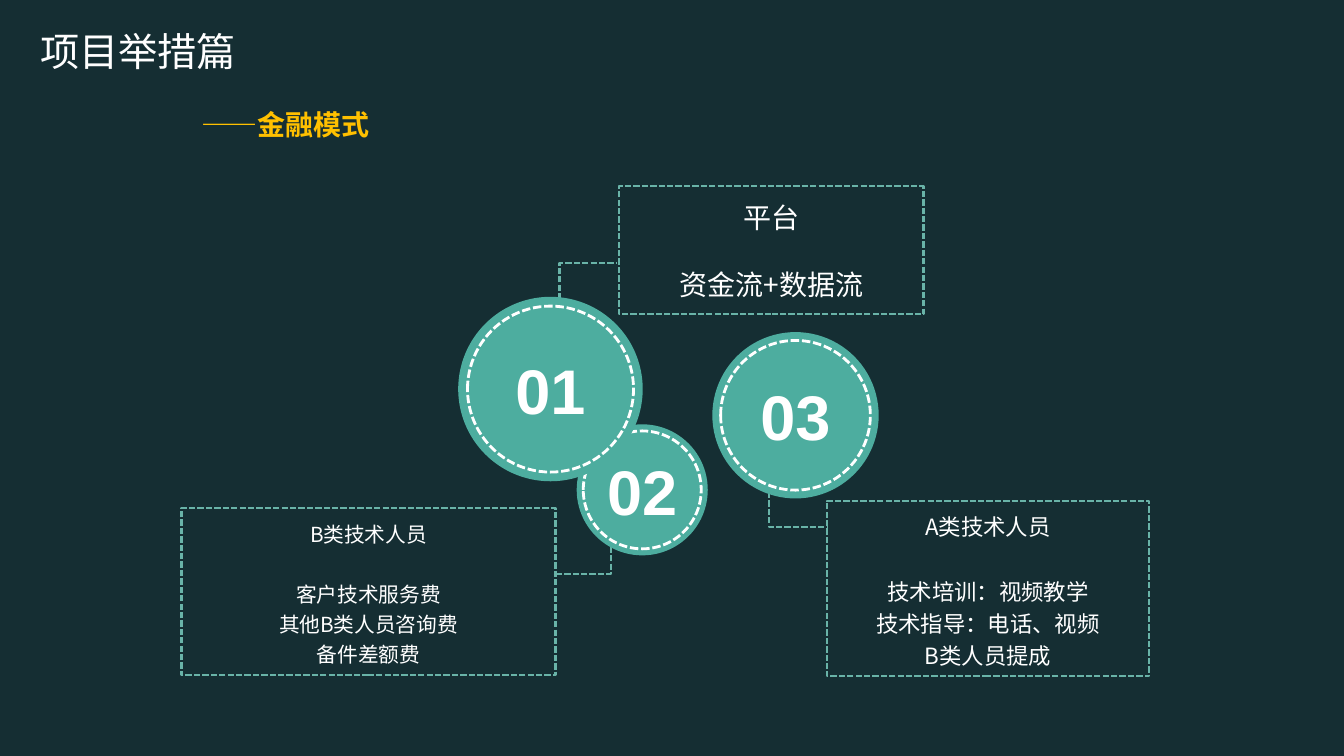
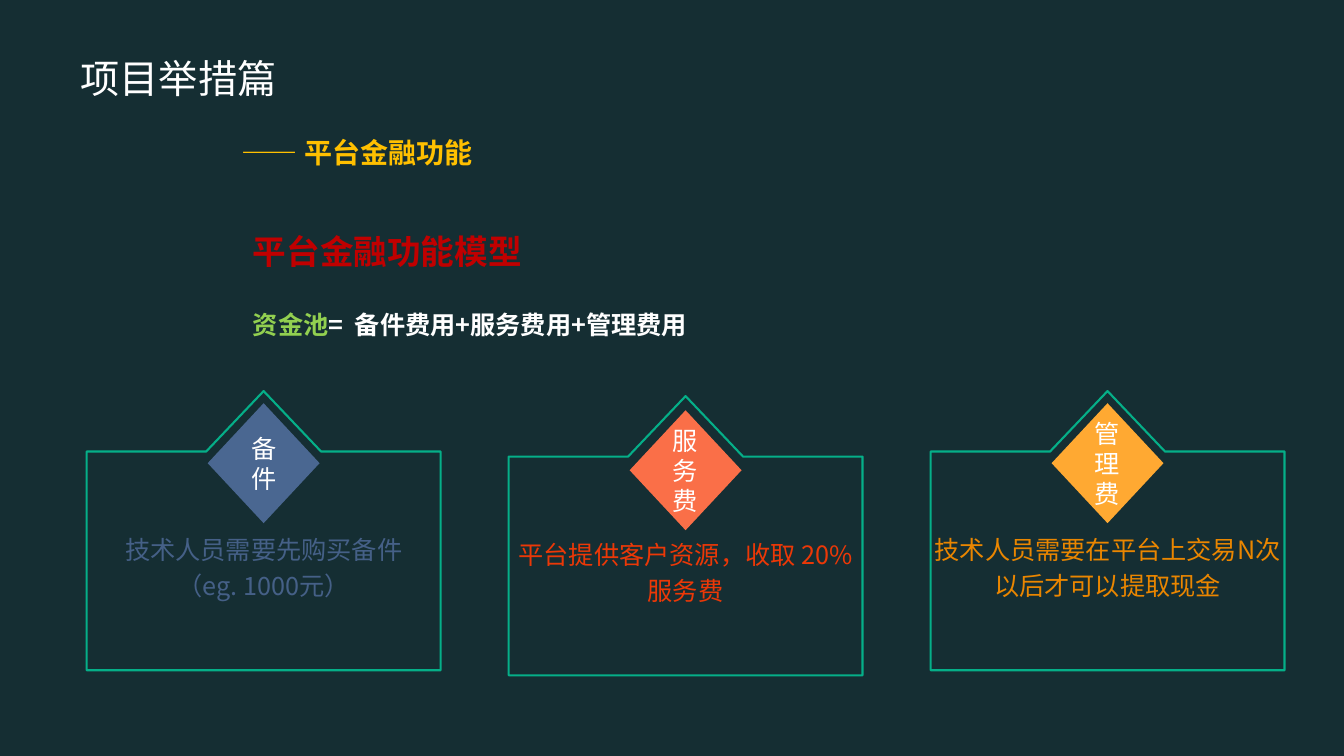
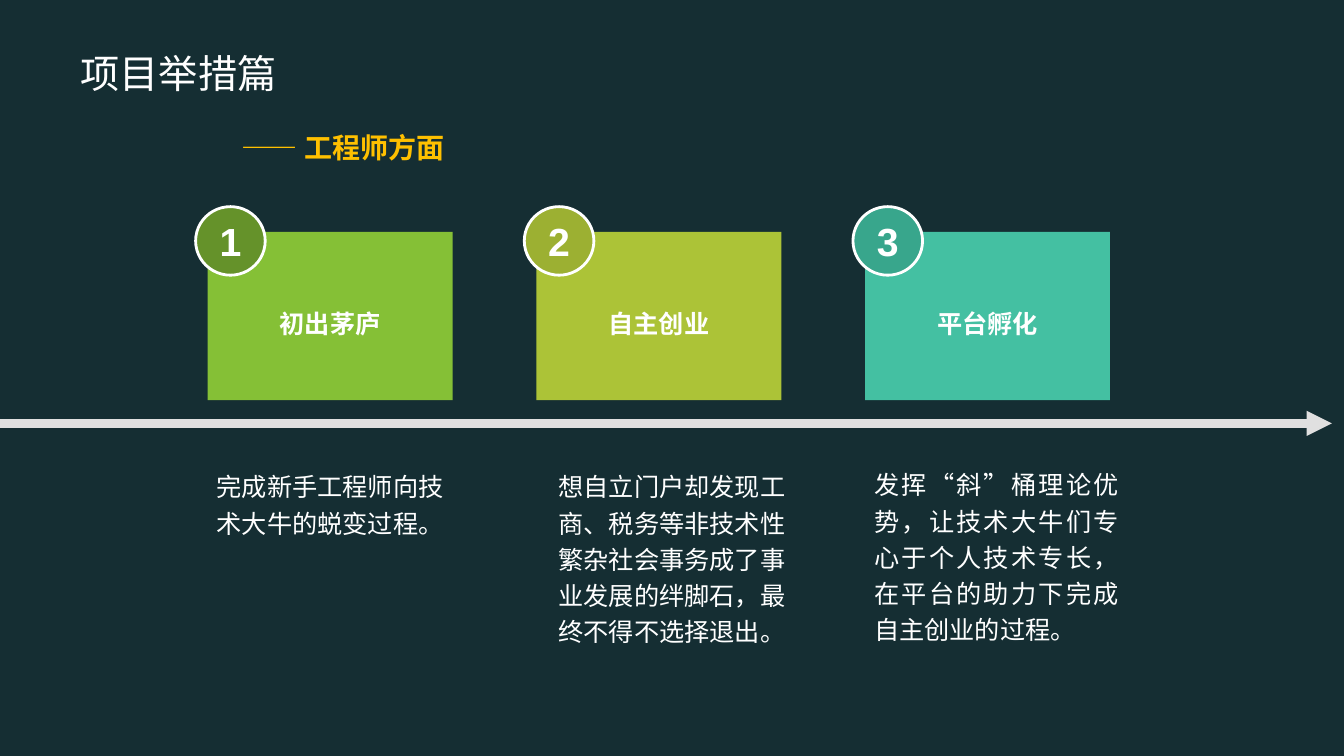
"""Build three dark slides on a project's finance model, platform functions and engineer path."""
from lxml.etree import SubElement
from pptx import Presentation
from pptx.dml.color import RGBColor
from pptx.enum.dml import MSO_LINE
from pptx.enum.shapes import MSO_CONNECTOR, MSO_SHAPE
from pptx.enum.text import MSO_ANCHOR, MSO_AUTO_SIZE, PP_ALIGN
from pptx.oxml.ns import qn
from pptx.util import Inches, Pt

COLORS = {
    "background": "152E33", "white": "FFFFFF", "gold": "FFC000", "teal": "4DAD9F",
    "dash": "69B3A8", "outline": "05AF88", "red": "C00000", "green": "92D050",
    "arrow": "E0E0E0",
    "blue": "4A6791", "blue text": "456087",
    "coral": "FA6F48", "coral text": "EB3807",
    "orange": "FFA932", "orange text": "EA8600",
    "leaf": "85C036", "leaf dark": "65922A",
    "lime": "ACC337", "lime dark": "9CB032",
    "mint": "44C0A2", "mint dark": "38A68C",
}
CHINESE_FONT, NUMBER_FONT = "Noto Sans CJK SC", "Arial"
TITLE = "项目举措篇"
PLAIN_INSETS = (0.1, 0.05, 0.1, 0.05)

ELBOWS = [
    [(7.63, 4.88), (7.63, 5.23), (8.2, 5.23)],
    [(6.06, 5.34), (6.06, 5.69), (5.49, 5.69)],
    [(5.55, 2.97), (5.55, 2.61), (6.12, 2.61)],
]
CIRCLES = [("02", 6.37, 4.86, 1.3), ("01", 5.46, 3.86, 1.83), ("03", 7.89, 4.12, 1.65)]
ROLES = [
    ((6.14, 1.85, 3.02, 1.27), 20, 1, ["平台", "资金流+数据流"]),
    ((1.8, 5.04, 3.71, 1.66), 14.8, 1.2,
     ["B类技术人员", "客户技术服务费", "其他B类人员咨询费", "备件差额费"]),
    ((8.2, 4.97, 3.2, 1.74), 16, 1.2,
     ["A类技术人员", "技术培训：视频教学", "技术指导：电话、视频", "B类人员提成"]),
]
FEES = [
    ("备件", "blue", 3.88, 0.12, ["技术人员需要先购买备件", "（eg. 1000元）"]),
    ("服务费", "coral", 3.93, 0.14, ["平台提供客户资源，收取 20%服务费"]),
    ("管理费", "orange", 3.88, 0.12, ["技术人员需要在平台上交易N次以后才可以提取现金"]),
]
STAGES = [
    ("初出茅庐", "leaf", 2.06, 4.57, PP_ALIGN.CENTER,
     "完成新手工程师向技术大牛的蜕变过程。"),
    ("自主创业", "lime", 5.45, 4.57, PP_ALIGN.CENTER,
     "想自立门户却发现工商、税务等非技术性繁杂社会事务成了事业发展的绊脚石，最终不得不选择退出。"),
    ("平台孵化", "mint", 8.67, 4.55, PP_ALIGN.JUSTIFY,
     "发挥“斜”桶理论优势，让技术大牛们专心于个人技术专长，在平台的助力下完成自主创业的过程。"),
]


def rgb(name):
    return RGBColor.from_string(COLORS[name])


def format_run(run, size, color="white", bold=False, font=CHINESE_FONT):
    run.font.size, run.font.bold, run.font.name = Pt(size), bold, font
    run.font.color.rgb = rgb(color)
    SubElement(run.font._element, qn("a:ea")).set("typeface", font)


def set_frame(frame, insets=PLAIN_INSETS, anchor=MSO_ANCHOR.MIDDLE, wrap=True):
    frame.margin_left, frame.margin_top, frame.margin_right, frame.margin_bottom = map(Inches, insets)
    frame.vertical_anchor, frame.word_wrap = anchor, wrap
    frame.auto_size = MSO_AUTO_SIZE.NONE


def write(shape, lines, size, align=PP_ALIGN.CENTER, spacing=1, **style):
    shape.text_frame.text = "\n".join(lines)
    for paragraph in shape.text_frame.paragraphs:
        paragraph.alignment, paragraph.line_spacing = align, spacing
        for run in paragraph.runs:
            format_run(run, size, **style)


def paint(shape, fill=None, line=None, width=1.5, dashed=False):
    shape.shadow.inherit = False
    if fill:
        shape.fill.solid()
        shape.fill.fore_color.rgb = rgb(fill)
    else:
        shape.fill.background()
    if line:
        shape.line.color.rgb = rgb(line)
        shape.line.width = Pt(width)
        if dashed:
            shape.line.dash_style = MSO_LINE.SQUARE_DOT
    else:
        shape.line.fill.background()


def add_shape(slide, kind, box, insets=PLAIN_INSETS, **look):
    shape = slide.shapes.add_shape(kind, *map(Inches, box))
    paint(shape, **look)
    set_frame(shape.text_frame, insets)
    return shape


def add_outline(slide, points, close, **look):
    corners = [(Inches(x), Inches(y)) for x, y in points]
    builder = slide.shapes.build_freeform(*corners[0])
    builder.add_line_segments(corners[1:], close=close)
    shape = builder.convert_to_shape()
    paint(shape, **look)
    return shape


def add_text(slide, box, **frame):
    shape = slide.shapes.add_textbox(*map(Inches, box))
    set_frame(shape.text_frame, **frame)
    return shape


def add_slide(presentation, subtitle, left, top):
    slide = presentation.slides.add_slide(presentation.slide_layouts[5])
    title = slide.shapes.title
    title.left, title.top, title.width, title.height = map(Inches, (left, top, 6.85, 1.25))
    set_frame(title.text_frame, anchor=MSO_ANCHOR.TOP)
    write(title, [TITLE, subtitle], 28, PP_ALIGN.LEFT)
    second = title.text_frame.paragraphs[1]
    second.space_before = Pt(24)
    second._p.get_or_add_pPr().set("marL", str(Inches(1.6)))
    second.runs[0].font.size, second.runs[0].font.bold = Pt(20), True
    second.runs[0].font.color.rgb = rgb("gold")
    return slide


def build_finance_model(presentation):
    slide = add_slide(presentation, "——金融模式", 0.3, 0.22)
    for points in ELBOWS:
        add_outline(slide, points, False, line="dash", dashed=True)
    for number, x, y, outer in CIRCLES:
        inner = outer * 0.9
        add_shape(slide, MSO_SHAPE.OVAL, (x - outer / 2, y - outer / 2, outer, outer), fill="teal")
        ring = add_shape(slide, MSO_SHAPE.OVAL, (x - inner / 2, y - inner / 2, inner, inner),
                         (0, 0, 0, 0), fill="teal", line="white", width=2, dashed=True)
        write(ring, [number], 45, bold=True, font=NUMBER_FONT)
    for box, size, spacing, lines in ROLES:
        panel = add_shape(slide, MSO_SHAPE.RECTANGLE, box, line="dash", dashed=True)
        write(panel, lines, size, spacing=spacing)
        panel.text_frame.paragraphs[1].space_before = Pt(size * 1.2 * spacing)


def build_platform_functions(presentation):
    slide = add_slide(presentation, "—— 平台金融功能", 0.7, 0.49)
    width, height, peak, half_peak = 3.51, 2.77, 0.6, 0.57
    for index, (name, color, top, gap, lines) in enumerate(FEES):
        left = 0.86 + index * 4.185
        middle, right, shoulder, bottom = left + width / 2, left + width, top + peak, top + height
        points = [(middle, top), (middle + half_peak, shoulder), (right, shoulder), (right, bottom),
                  (left, bottom), (left, shoulder), (middle - half_peak, shoulder)]
        card = add_outline(slide, points, True, line="outline")
        set_frame(card.text_frame, (0, 0.67, 0, 0))
        write(card, lines, 18, spacing=1.2, color=color + " text")
        diamond = add_shape(slide, MSO_SHAPE.DIAMOND, (middle - 0.555, top + gap, 1.11, 1.19), fill=color)
        write(diamond, [name], 18)
    heading = add_text(slide, (2.41, 2.24, 2.89, 0.5), anchor=MSO_ANCHOR.TOP, wrap=False)
    write(heading, ["平台金融功能模型"], 24, PP_ALIGN.LEFT, color="red", bold=True)
    formula = add_text(slide, (2.41, 2.64, 6.82, 1.01), wrap=False)
    write(formula, ["资金池"], 18, PP_ALIGN.LEFT, 1.5, color="green", bold=True)
    terms = formula.text_frame.paragraphs[0].add_run()
    terms.text = "=  备件费用+服务费用+管理费用"
    format_run(terms, 18, bold=True)


def build_engineer_path(presentation):
    slide = add_slide(presentation, "—— 工程师方面", 0.7, 0.44)
    arrow = slide.shapes.add_connector(MSO_CONNECTOR.STRAIGHT, 0, Inches(4.2), Inches(13.21), Inches(4.2))
    arrow.line.color.rgb, arrow.line.width = rgb("arrow"), Pt(6)
    SubElement(arrow.line._get_or_add_ln(), qn("a:tailEnd")).set("type", "triangle")
    SubElement(arrow._element.spPr, qn("a:effectLst"))
    for index, (name, color, text_left, text_top, align, text) in enumerate(STAGES):
        left = 2.06 + index * 3.26
        card = add_shape(slide, MSO_SHAPE.RECTANGLE, (left, 2.3, 2.43, 1.67), (0.1, 0.2, 0.1, 0.05), fill=color)
        write(card, [name], 18, bold=True)
        badge = add_shape(slide, MSO_SHAPE.OVAL, (left - 0.12, 2.05, 0.69, 0.68),
                          fill=color + " dark", line="white", width=2)
        write(badge, [str(index + 1)], 28, bold=True, font=NUMBER_FONT)
        note = add_text(slide, (text_left, text_top, 2.43, 2.48),
                        insets=(0, 0.05, 0, 0.05), anchor=MSO_ANCHOR.TOP)
        write(note, [text], 18, align, 1.2)


def main():
    presentation = Presentation()
    presentation.slide_width, presentation.slide_height = Inches(13.33), Inches(7.5)
    background = presentation.slide_master.background.fill
    background.solid()
    background.fore_color.rgb = rgb("background")
    build_finance_model(presentation)
    build_platform_functions(presentation)
    build_engineer_path(presentation)
    presentation.save("out.pptx")


if __name__ == "__main__":
    main()
